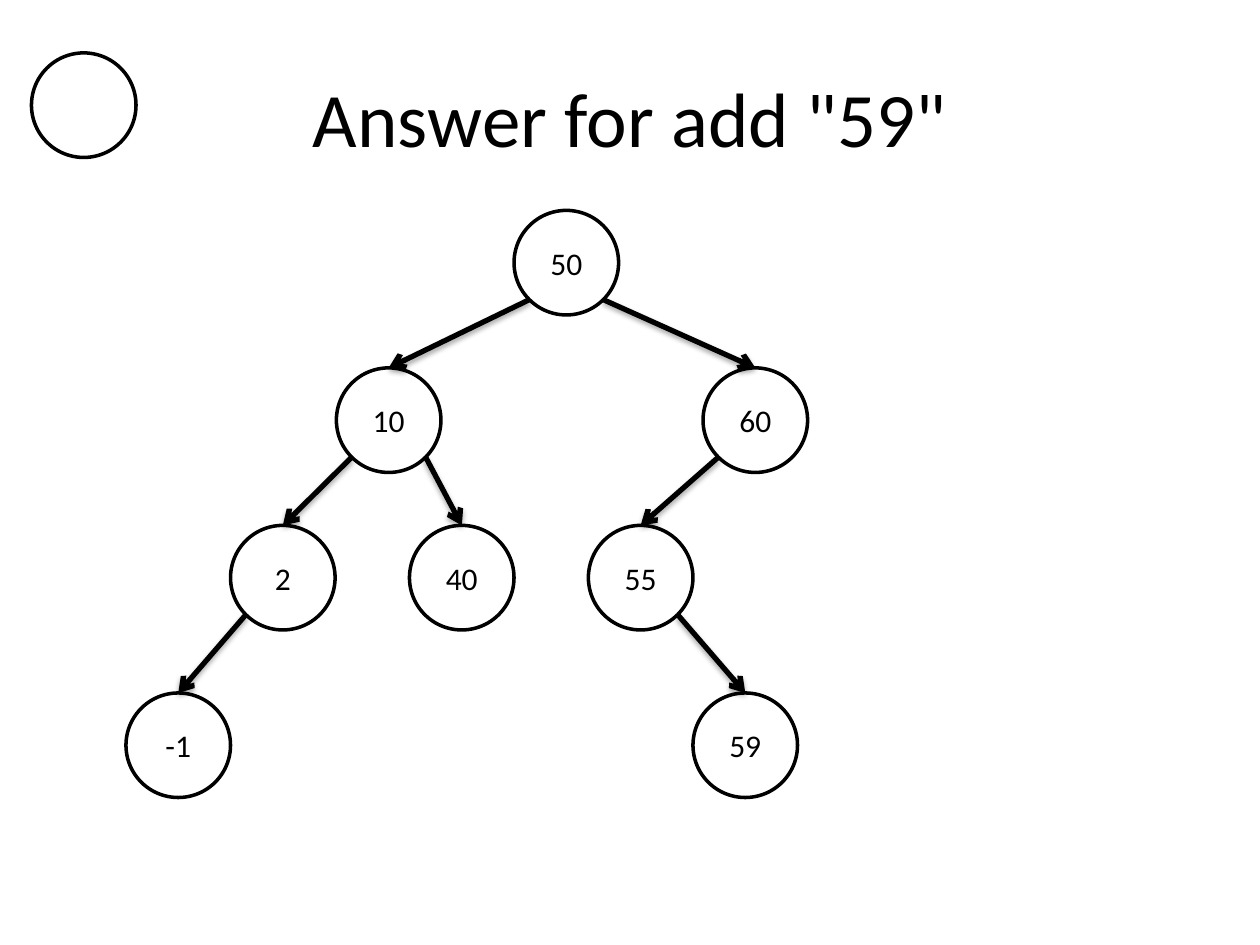
from dataclasses import dataclass
from math import sqrt

from lxml.etree import SubElement
from pptx import Presentation
from pptx.dml.color import RGBColor
from pptx.enum.shapes import MSO_CONNECTOR, MSO_SHAPE
from pptx.enum.text import MSO_ANCHOR, PP_ALIGN
from pptx.oxml.ns import qn
from pptx.util import Inches, Pt


@dataclass(frozen=True)
class Theme:
    font: str = "Calibri"
    ink: RGBColor = RGBColor(0, 0, 0)
    paper: RGBColor = RGBColor(255, 255, 255)
    title_size: int = 44
    key_size: int = 18
    outline: int = 2
    branch: int = 3


THEME = Theme()
DIAMETER = 0.83
LEVEL_TOPS = [0, 1.25, 2.5, 3.83]
NODES = {
    "50": (3.08, 0),
    "10": (1.67, 1),
    "60": (4.58, 1),
    "2": (0.83, 2),
    "40": (2.25, 2),
    "55": (3.67, 2),
    "-1": (0, 3),
    "59": (4.5, 3),
}
BRANCHES = [
    ("50", "10"), ("50", "60"), ("10", "2"), ("10", "40"),
    ("60", "55"), ("2", "-1"), ("55", "59"),
]


def write(frame, text, size):
    frame.word_wrap = True
    frame.vertical_anchor = MSO_ANCHOR.MIDDLE
    paragraph = frame.paragraphs[0]
    paragraph.alignment = PP_ALIGN.CENTER
    run = paragraph.add_run()
    run.text = text
    run.font.color.rgb = THEME.ink
    for attribute, value in {"name": THEME.font, "size": Pt(size)}.items():
        setattr(run.font, attribute, value)


def add_title(slide, left, top, width, height, text):
    title = slide.shapes.add_textbox(
        Inches(left), Inches(top), Inches(width), Inches(height))
    write(title.text_frame, text, THEME.title_size)


def add_node(slide, left, top, key=""):
    node = slide.shapes.add_shape(
        MSO_SHAPE.OVAL, Inches(left), Inches(top),
        Inches(DIAMETER), Inches(DIAMETER))
    node.shadow.inherit = False
    node.fill.solid()
    node.fill.fore_color.rgb = THEME.paper
    node.line.color.rgb = THEME.ink
    node.line.width = Pt(THEME.outline)
    if key:
        write(node.text_frame, key, THEME.key_size)
    return node


def add_branch(slide, parent, child):
    radius = parent.width / 2
    reach = radius / sqrt(2)
    side = 1 if child.left > parent.left else -1
    branch = slide.shapes.add_connector(
        MSO_CONNECTOR.STRAIGHT,
        int(parent.left + radius + side * reach),
        int(parent.top + radius + reach),
        child.left + child.width // 2, child.top)
    branch.end_connect(child, 0)
    branch.line.color.rgb = THEME.ink
    branch.line.width = Pt(THEME.branch)
    SubElement(branch.line._get_or_add_ln(), qn("a:tailEnd"), type="arrow")
    effects = SubElement(branch._element.spPr, qn("a:effectLst"))
    shadow = SubElement(
        effects, qn("a:outerShdw"), blurRad=str(Pt(3.1)), dist=str(Pt(1.8)),
        dir="5400000", rotWithShape="0")
    shade = SubElement(shadow, qn("a:srgbClr"), val=str(THEME.ink))
    SubElement(shade, qn("a:alpha"), val="35000")


def add_tree(slide, left, top):
    nodes = {
        key: add_node(slide, left + offset, top + LEVEL_TOPS[level], key)
        for key, (offset, level) in NODES.items()
    }
    for parent, child in BRANCHES:
        add_branch(slide, nodes[parent], nodes[child])


presentation = Presentation()
presentation.slide_width = Inches(10)
presentation.slide_height = Inches(7.5)
slide = presentation.slides.add_slide(presentation.slide_layouts[6])
add_title(slide, 0.5, 0.3, 9, 1.25, 'Answer for add "59"')
add_node(slide, 0.25, 0.42)
add_tree(slide, 1, 1.67)
presentation.save("out.pptx")
